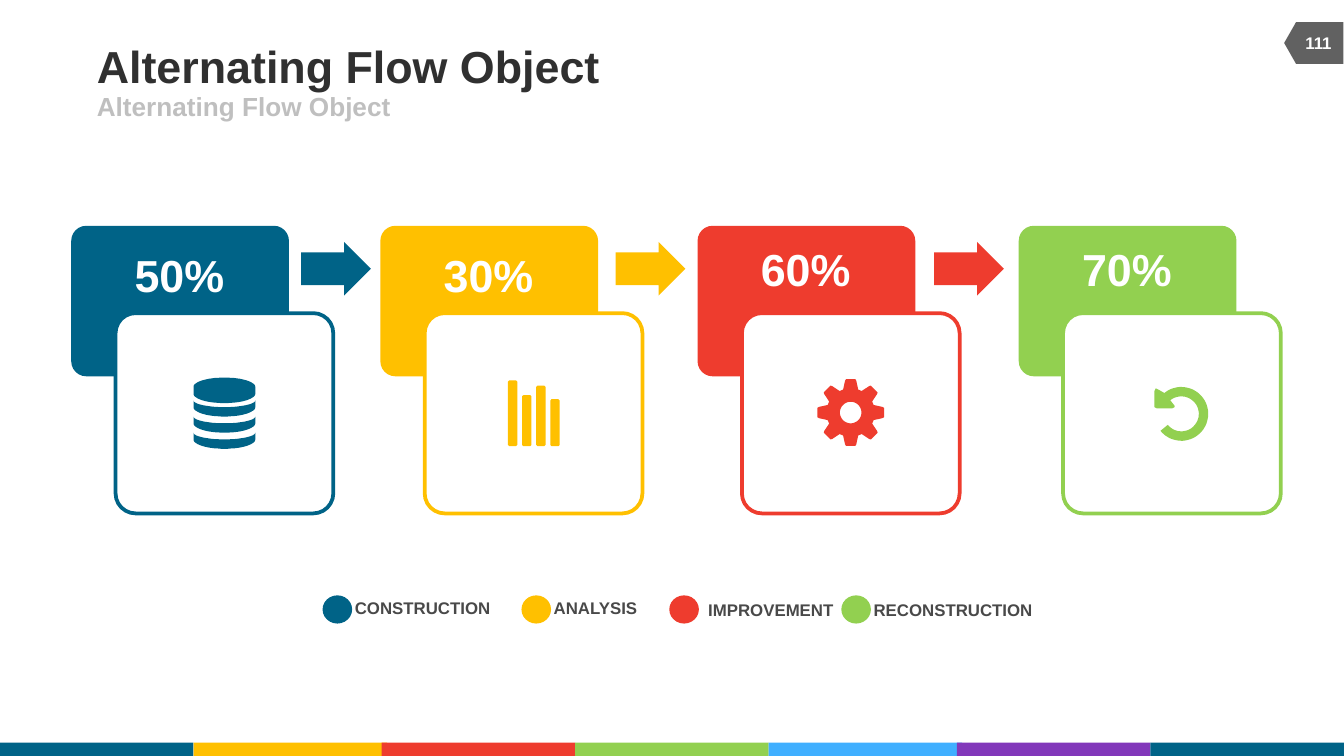
from math import cos, radians, sin
from pptx import Presentation
from pptx.dml.color import RGBColor
from pptx.enum.shapes import MSO_SHAPE as Kind
from pptx.enum.text import MSO_ANCHOR as Anchor, MSO_AUTO_SIZE as Fit, PP_ALIGN as Align
from pptx.util import Inches, Pt

theme = dict(
    font="Arial", blue="006387", gold="FFC000", red="EE3C2E", green="92D050",
    sky="40AFFF", plum="8238BA", tag="616161", title="303030", sub="BFBFBF",
    label="494949", white="FFFFFF", big=24, mid=14, small=9,
)
WIDE = 10
HIGH = WIDE * 9 / 16
ROW = HIGH / 100

deck = Presentation()
deck.slide_width, deck.slide_height = Inches(WIDE), Inches(HIGH)
slide = deck.slides.add_slide(deck.slide_layouts[2])
shapes = slide.shapes


def draw(shape, color):
    shape.shadow.inherit = False
    shape.fill.solid()
    shape.fill.fore_color.rgb = RGBColor.from_string(theme[color])
    shape.line.fill.background()
    return shape


def write(shape, box, text, size, color, align=Align.LEFT, anchor=Anchor.MIDDLE):
    shape.left, shape.top, shape.width, shape.height = map(Inches, box)
    frame = shape.text_frame
    frame.text = text
    frame.word_wrap, frame.auto_size = False, Fit.NONE
    frame.vertical_anchor = anchor
    frame.margin_left = frame.margin_right = frame.margin_top = frame.margin_bottom = 0
    para = frame.paragraphs[0]
    para.alignment, para.space_before = align, Pt(0)
    font = para.font
    font.name, font.size, font.bold = theme["font"], Pt(theme[size]), True
    font.color.rgb = RGBColor.from_string(theme[color])
    para.runs[0]._r.get_or_add_rPr().set("cap", "none")


hues = ["blue", "gold", "red", "green", "sky", "plum", "blue"]
for left, hue in zip([0, 1.44, 2.84, 4.28, 5.72, 7.12, 8.56], hues):
    box = map(Inches, (left, HIGH - 0.1, 1.44, 0.1))
    draw(shapes.add_shape(Kind.RECTANGLE, *box), hue)

box = map(Inches, (9.62, 0.1, 0.31, 0.44))
tag = draw(shapes.add_shape(Kind.FLOWCHART_OFFPAGE_CONNECTOR, *box), "tag")
tag.rotation = 90
name = "Alternating Flow Object"
write(shapes.title, (0.72, 0.29, 6.17, 0.39), name, "big", "title")
write(slide.placeholders[1], (0.72, 0.68, 4.5, 0.22), name, "mid", "sub")
write(shapes.add_textbox(0, 0, 0, 0), (9.6, 0.17, 0.42, 0.3), "111", "small", "white", Align.CENTER)

steps = [
    ("blue", 0.53, 2.24, "50%", 1.84),
    ("gold", 2.83, 4.58, "30%", 1.84),
    ("red", 5.19, 6.95, "60%", 1.8),
    ("green", 7.58, None, "70%", 1.8),
]
for hue, left, next_x, share, top in steps:
    box = map(Inches, (left, 1.68, 1.62, 1.12))
    card = draw(shapes.add_shape(Kind.ROUNDED_RECTANGLE, *box), hue)
    card.adjustments[0] = 0.1
    box = map(Inches, (left + 0.33, 2.33, 1.62, 1.49))
    panel = draw(shapes.add_shape(Kind.ROUNDED_RECTANGLE, *box), "white")
    panel.adjustments[0] = 0.1
    panel.line.color.rgb = RGBColor.from_string(theme[hue])
    panel.line.width = Pt(2)
    if next_x:
        box = map(Inches, (next_x, 1.8, 0.52, 0.4))
        arrow = draw(shapes.add_shape(Kind.RIGHT_ARROW, *box), hue)
        arrow.adjustments[0], arrow.adjustments[1] = 0.61, 0.5
    write(shapes.add_textbox(0, 0, 0, 0), (left + 0.47, top, 0.67, 0.4), share,
          "big", "white", Align.CENTER, Anchor.BOTTOM)

turn = [radians(a) for a in range(0, 181, 6)]
disk = [(1.67 - 0.23 * cos(a), 2.88 - 0.07 * sin(a)) for a in turn]
disk += [(1.67 + 0.23 * cos(a), 2.93 + 0.07 * sin(a)) for a in turn]
stack = [disk]
for y in (2.98, 3.1, 3.22):
    band = [(1.67 - 0.23 * cos(a), y + 0.05 * sin(a)) for a in turn]
    band += [(1.67 + 0.23 * cos(a), y + 0.05 + 0.07 * sin(a)) for a in turn]
    stack.append(band)

bars = []
for i, y in enumerate([2.83, 2.94, 2.87, 2.97]):
    x = 3.78 + i * 0.105
    bars.append([(x, 3.31), (x, y + 0.01), (x + 0.01, y), (x + 0.06, y),
                 (x + 0.07, y + 0.01), (x + 0.07, 3.31), (x + 0.06, 3.32), (x + 0.01, 3.32)])

teeth = [(45 * i + a, r) for i in range(8)
         for a, r in [(-18, 0.18), (-10, 0.24), (-8, 0.25), (8, 0.25), (10, 0.24), (18, 0.18)]]
hole = [(a, 0.08) for a in range(0, 360, 6)]
gear = [[(6.33 + r * cos(radians(a)), 3.07 + r * sin(radians(a))) for a, r in ring]
        for ring in (teeth, hole)]

sweep = [radians(a) for a in range(141, -134, -5)]
loop = [(8.79 + 0.2 * cos(a), 3.08 + 0.2 * sin(a)) for a in sweep]
loop += [(8.62, 2.9), (8.6, 2.89), (8.59, 2.91), (8.59, 3.03), (8.61, 3.04),
         (8.72, 3.04), (8.74, 3.03), (8.74, 3.02)]
loop += [(8.79 + 0.13 * cos(a), 3.08 + 0.13 * sin(a)) for a in reversed(sweep)]

for hue, rings in zip(hues, [stack, bars, gear, [loop]]):
    rings = [[(x * 1000, y * 1000) for x, y in ring] for ring in rings]
    pen = shapes.build_freeform(*rings[0][0], scale=Inches(1) / 1000)
    pen.add_line_segments(rings[0][1:], close=True)
    for ring in rings[1:]:
        pen.move_to(*ring[0])
        pen.add_line_segments(ring[1:], close=True)
    draw(pen.convert_to_shape(), hue)

keys = [
    ("CONSTRUCTION", 2.4, 2.64, 4.45, 1.02),
    ("ANALYSIS", 3.88, 4.12, 4.45, 0.64),
    ("IMPROVEMENT", 4.98, 5.27, 4.46, 0.94),
    ("RECONSTRUCTION", 6.26, 6.5, 4.46, 1.19),
]
for hue, (word, dot, left, top, width) in zip(hues, keys):
    write(shapes.add_textbox(0, 0, 0, 0), (left, top, width, 0.15), word,
          "small", "label", anchor=Anchor.TOP)
    box = map(Inches, (dot, 4.43, 0.22, 0.21))
    draw(shapes.add_shape(Kind.OVAL, *box), hue)

deck.save("out.pptx")
